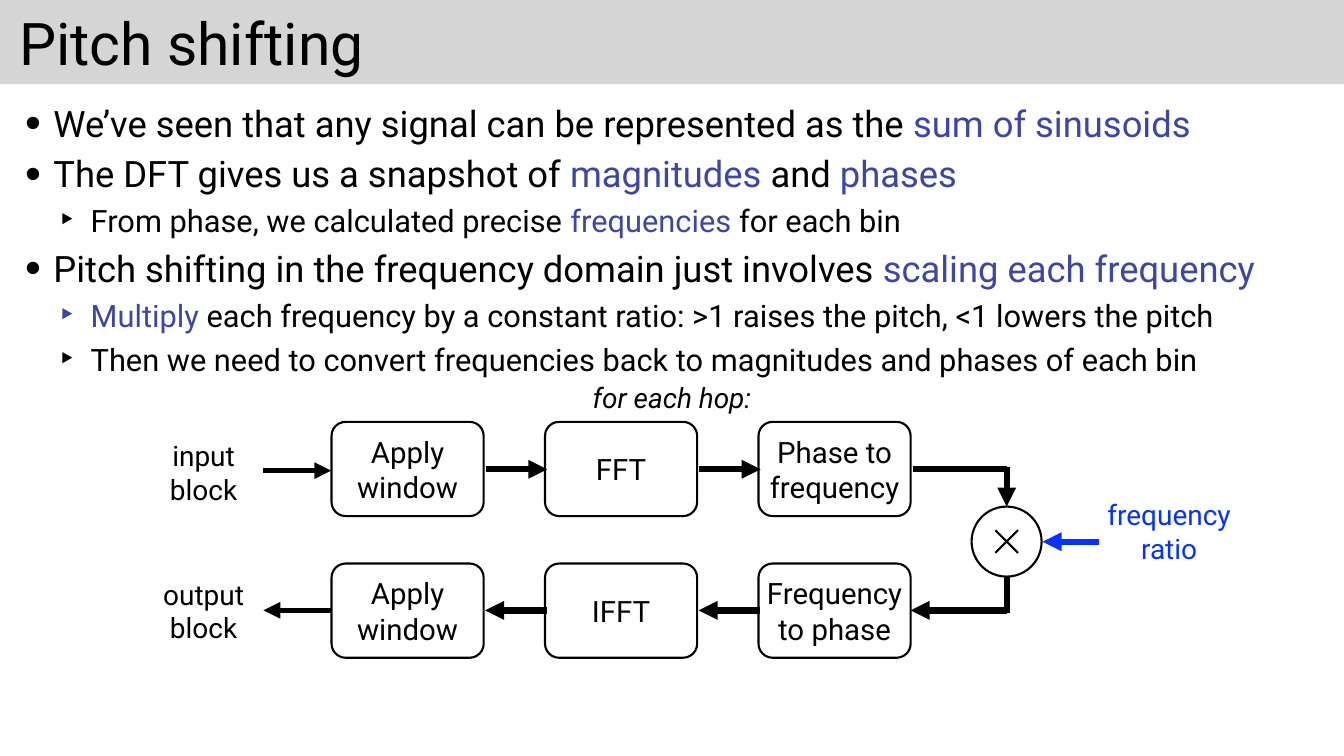
from lxml import etree
from pptx import Presentation
from pptx.dml.color import RGBColor
from pptx.enum.shapes import MSO_CONNECTOR, MSO_SHAPE
from pptx.enum.text import MSO_ANCHOR, MSO_AUTO_SIZE, PP_ALIGN
from pptx.oxml.ns import qn
from pptx.util import Cm, Pt

BLACK = RGBColor(0x00, 0x00, 0x00)
INDIGO = RGBColor(0x3D, 0x46, 0xA6)
BLUE = RGBColor(0x04, 0x33, 0xFF)
GREY = RGBColor(0xD5, 0xD5, 0xD5)
FONT = "Roboto"
FRAME_FORMAT = {
    "margin_left": Cm(0.15),
    "margin_right": Cm(0.15),
    "margin_top": Cm(0.15),
    "margin_bottom": Cm(0.15),
    "auto_size": MSO_AUTO_SIZE.NONE,
}


def write_label(shape, text, size, color=BLACK, italic=False):
    frame = shape.text_frame
    label_format = {"word_wrap": False, "vertical_anchor": MSO_ANCHOR.MIDDLE}
    for name, value in (FRAME_FORMAT | label_format).items():
        setattr(frame, name, value)
    frame.text = text
    for paragraph in frame.paragraphs:
        paragraph.alignment = PP_ALIGN.CENTER
        for run in paragraph.runs:
            for name, value in {"name": FONT, "size": Pt(size), "italic": italic}.items():
                setattr(run.font, name, value)
            run.font.color.rgb = color


def draw_line(x1, y1, x2, y2, width=9, color=BLACK, arrow=True):
    line = slide.shapes.add_connector(MSO_CONNECTOR.STRAIGHT, Cm(x1), Cm(y1), Cm(x2), Cm(y2))
    line.line.width = Pt(width)
    line.line.color.rgb = color
    properties = line.element.spPr
    if arrow:
        etree.SubElement(properties.find(qn("a:ln")), qn("a:tailEnd"), type="triangle")
    etree.SubElement(properties, qn("a:effectLst"))


deck = Presentation()
deck.slide_width, deck.slide_height = Cm(67.74), Cm(38.1)
slide = deck.slides.add_slide(deck.slide_layouts[1])
title, body = slide.placeholders

band = slide.shapes.add_shape(MSO_SHAPE.RECTANGLE, Cm(0), Cm(-0.05), Cm(67.74), Cm(4.29))
band.shadow.inherit = False
band.fill.solid()
band.fill.fore_color.rgb = GREY
band.line.fill.background()
title.element.addprevious(band.element)

for placeholder, box, anchor in [
    (title, (0.81, -0.05, 66.12, 4.29), MSO_ANCHOR.MIDDLE),
    (body, (1.12, 4.93, 65.51, 14.35), MSO_ANCHOR.TOP),
]:
    for name, value in zip(("left", "top", "width", "height"), box):
        setattr(placeholder, name, Cm(value))
    for name, value in (FRAME_FORMAT | {"vertical_anchor": anchor}).items():
        setattr(placeholder.text_frame, name, value)

title.text_frame.text = "Pitch shifting"
heading = title.text_frame.paragraphs[0]
heading.alignment = PP_ALIGN.LEFT
heading.font.name = FONT
heading.font.size = Pt(84)
heading.font.color.rgb = BLACK

bullets = [
    (0, [("We’ve seen that any signal can be represented as the ", BLACK), ("sum of sinusoids", INDIGO)]),
    (0, [("The DFT gives us a snapshot of ", BLACK), ("magnitudes", INDIGO), (" and ", BLACK), ("phases", INDIGO)]),
    (1, [("From phase, we calculated precise ", BLACK), ("frequencies", INDIGO), (" for each bin", BLACK)]),
    (0, [("Pitch shifting in the frequency domain just involves ", BLACK), ("scaling each frequency", INDIGO)]),
    (1, [("Multiply", INDIGO),
         (" each frequency by a constant ratio: >1 raises the pitch, <1 lowers the pitch", BLACK)]),
    (1, [("Then we need to convert frequencies back to magnitudes and phases of each bin", BLACK)]),
]
level_styles = [("•", 1.42, -1.42, 52), ("‣", 3.3, -1.55, 44)]
for index, (level, pieces) in enumerate(bullets):
    symbol, margin, indent, size = level_styles[level]
    item = body.text_frame.add_paragraph() if index else body.text_frame.paragraphs[0]
    item.level = level
    item.space_before = Pt(10 if index else 0)
    properties = item._p.get_or_add_pPr()
    properties.set("marL", str(Cm(margin)))
    properties.set("indent", str(Cm(indent)))
    etree.SubElement(properties, qn("a:buSzPct"), val="125000")
    etree.SubElement(properties, qn("a:buChar"), char=symbol)
    for text, color in pieces:
        run = item.add_run()
        run.text = text
        run.font.name = FONT
        run.font.size = Pt(size)
        run.font.color.rgb = color

stage_rows = [
    (21.26, ["Apply\nwindow", "FFT", "Phase to\nfrequency"]),
    (28.4, ["Apply\nwindow", "IFFT", "Frequency\nto phase"]),
]
STAGE_LEFT, STAGE_STEP = 16.71, 10.76
stages = [
    (MSO_SHAPE.ROUNDED_RECTANGLE, STAGE_LEFT + column * STAGE_STEP, top, 7.67, 4.75, text)
    for top, texts in stage_rows
    for column, text in enumerate(texts)
]
multiplier = (MSO_SHAPE.OVAL, 48.97, 25.53, 3.53, 3.53, "")
for kind, left, top, width, height, text in stages + [multiplier]:
    node = slide.shapes.add_shape(kind, Cm(left), Cm(top), Cm(width), Cm(height))
    node.shadow.inherit = False
    node.fill.background()
    node.line.color.rgb = BLACK
    node.line.width = Pt(3)
    if text:
        node.adjustments[0] = 0.15
        write_label(node, text, 42)

for y1, y2 in [(27.86, 26.72), (26.72, 27.86)]:
    draw_line(50.17, y1, 51.31, y2, width=3, arrow=False)

UPPER, LOWER, TURN = 23.65, 30.76, 50.74
draw_line(13.28, 23.72, 16.69, 23.72, width=8)
draw_line(16.69, LOWER, 13.28, LOWER, width=8)
for column in range(2):
    shift = column * STAGE_STEP
    draw_line(24.49 + shift, UPPER, 27.58 + shift, UPPER)
    draw_line(27.55 + shift, LOWER, 24.45 + shift, LOWER)
draw_line(46, UPPER, TURN, UPPER, arrow=False)
draw_line(TURN, 23.52, TURN, 25.53)
draw_line(TURN, 29.08, TURN, 30.91, arrow=False)
draw_line(TURN, LOWER, 45.9, LOWER)
draw_line(55.4, 27.3, 52.55, 27.3, color=BLUE)

for text, left, top, width, height, color, italic in [
    ("input\nblock", 8.38, 22, 3.76, 3.63, BLACK, False),
    ("output\nblock", 8.05, 28.96, 4.42, 3.63, BLACK, False),
    ("frequency\nratio", 55.65, 24.97, 6.55, 3.63, BLUE, False),
    ("for each hop:", 29.54, 19.08, 8.66, 1.93, BLACK, True),
]:
    caption = slide.shapes.add_textbox(Cm(left), Cm(top), Cm(width), Cm(height))
    write_label(caption, text, 40, color, italic)

deck.save("out.pptx")
